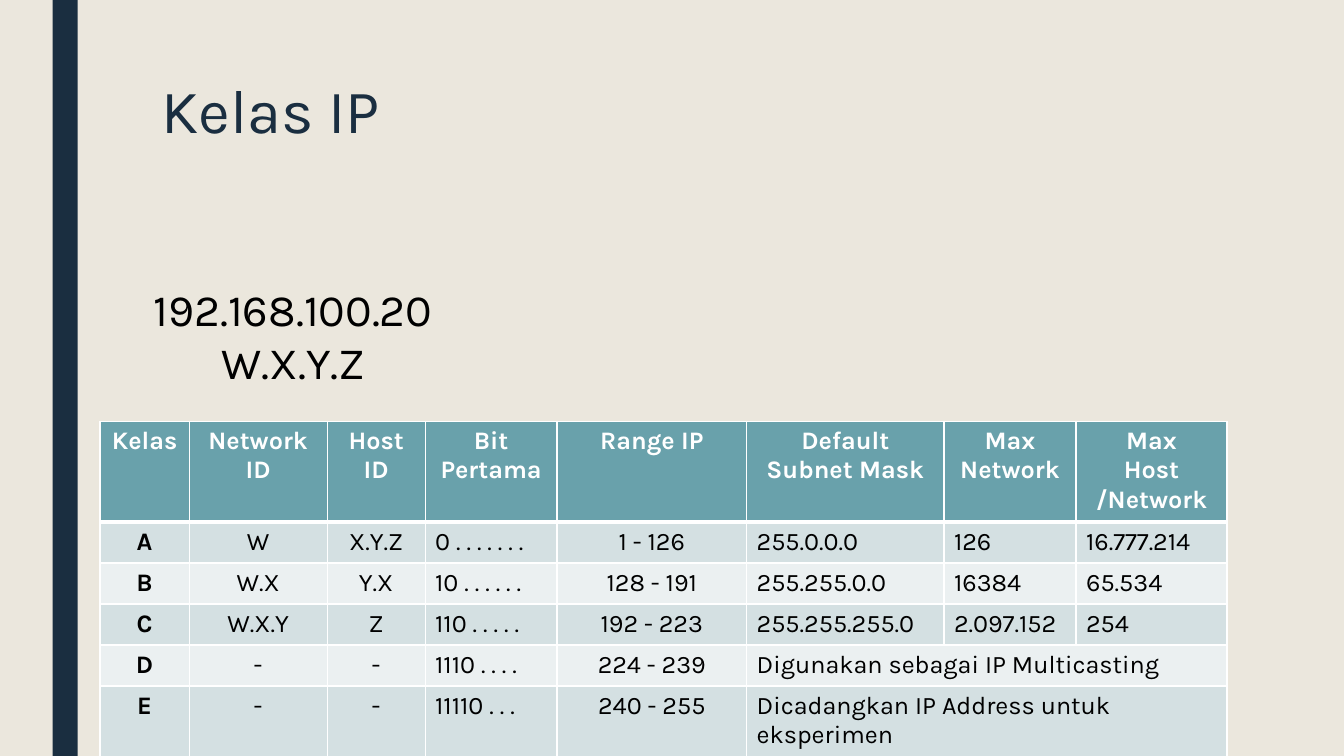
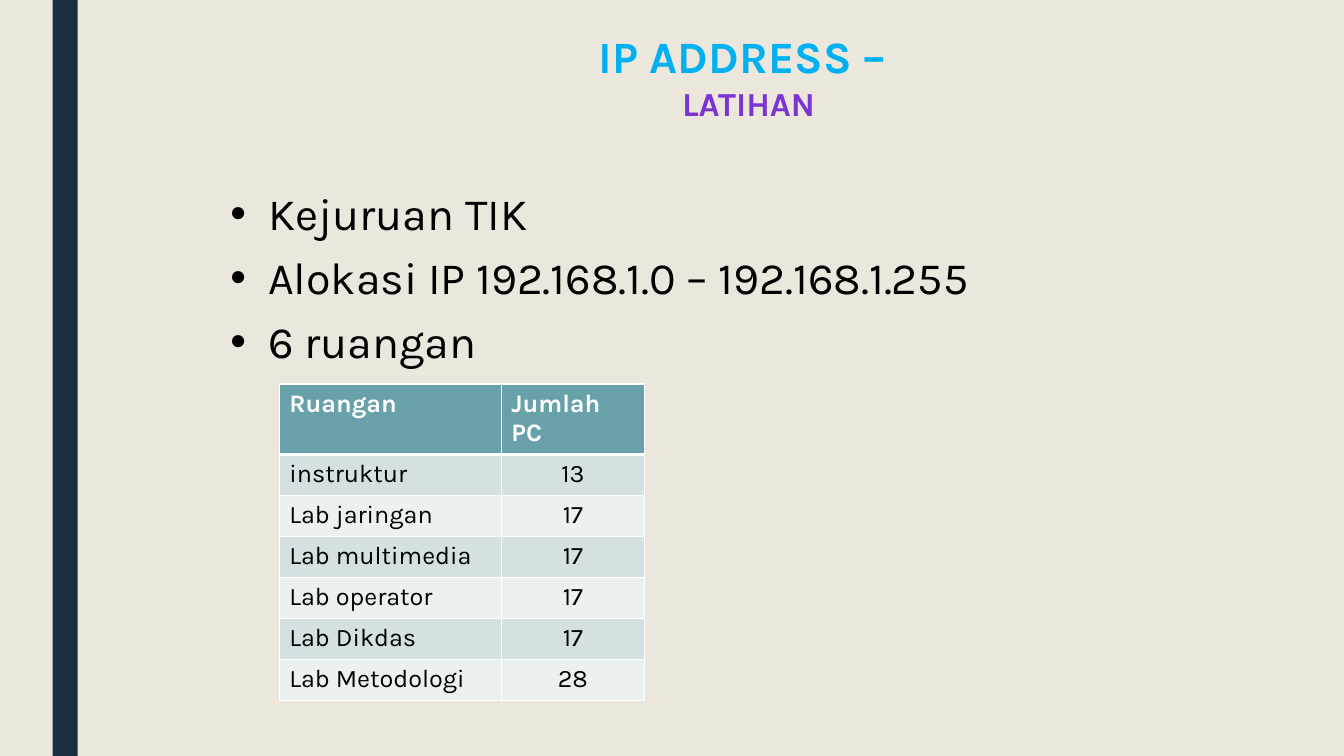
"""Build two slides on IP address classes and an allocation exercise."""
import pptx
import pptx.dml.color
import pptx.enum.shapes
import pptx.enum.text
import pptx.oxml
import pptx.oxml.ns
import pptx.util

Pt = pptx.util.Pt
ALIGN = pptx.enum.text.PP_ALIGN
NS = pptx.oxml.ns.nsdecls("a")
FONT = "Karla"
COLORS = {
    "paper": "EBE7DD", "navy": "1A2E40", "teal": "69A1AB", "band": "D4E0E2",
    "pale": "EBF0F1", "white": "FFFFFF", "black": "000000",
    "sky": "00B0F0", "violet": "7B34D2",
}
SLIDE_W, SLIDE_H = 960, 540
ROW_H = 29.3
CELL_SIZE = 18

CLASS_COLS = [63.6, 98.6, 70, 94.3, 135.4, 141, 94.3, 107.9]
CLASS_ROWS = [
    ["Kelas", "Network ID", "Host ID", "Bit Pertama", "Range IP",
     "Default Subnet Mask", "Max Network", "Max Host /Network"],
    ["A", "W", "X.Y.Z", "0 . . . . . . .", "1 - 126", "255.0.0.0", "126", "16.777.214"],
    ["B", "W.X", "Y.X", "10 . . . . . .", "128 - 191", "255.255.0.0", "16384", "65.534"],
    ["C", "W.X.Y", "Z", "110 . . . . .", "192 - 223", "255.255.255.0", "2.097.152", "254"],
    ["D", "-", "-", "1110 . . . .", "224 - 239", "Digunakan sebagai IP Multicasting"],
    ["E", "-", "-", "11110 . . .", "240 - 255", "Dicadangkan IP Address untuk eksperimen"],
]
ROOM_COLS = [158.6, 102.2]
ROOM_ROWS = [
    ["Ruangan", "Jumlah PC"], ["instruktur", "13"], ["Lab jaringan", "17"],
    ["Lab multimedia", "17"], ["Lab operator", "17"], ["Lab Dikdas", "17"],
    ["Lab Metodologi", "28"],
]
BULLETS = ["Kejuruan TIK", "Alokasi IP 192.168.1.0 – 192.168.1.255", "6 ruangan"]


def rgb(name):
    """Return the named colour."""
    return pptx.dml.color.RGBColor.from_string(COLORS[name])


def add_run(p, text, size, color="black", bold=False):
    """Append a formatted run to a paragraph."""
    r = p.add_run()
    r.text = text
    r.font.name, r.font.size, r.font.bold = FONT, Pt(size), bold
    r.font.color.rgb = rgb(color)


def add_text_frame(s, x, y, w, h):
    """Add a wrapping text box and return its frame."""
    tf = s.shapes.add_textbox(Pt(x), Pt(y), Pt(w), Pt(h)).text_frame
    tf.word_wrap = True
    return tf


def new_paragraph(tf, i):
    """Return the first paragraph of a frame or append another."""
    return tf.add_paragraph() if i else tf.paragraphs[0]


def add_base_slide(prs):
    """Add a blank slide with the vertical navy band."""
    s = prs.slides.add_slide(prs.slide_layouts[6])
    band = s.shapes.add_shape(pptx.enum.shapes.MSO_SHAPE.RECTANGLE,
                              Pt(37.5), 0, Pt(18), Pt(SLIDE_H))
    band.shadow.inherit = False
    band.fill.solid()
    band.fill.fore_color.rgb = rgb("navy")
    band.line.fill.background()
    return s


def set_borders(cell, top, bottom):
    """Draw white borders of the given widths around a cell."""
    tc_pr = cell._tc.get_or_add_tcPr()
    widths = {"lnL": 1, "lnR": 1, "lnT": top, "lnB": bottom}
    for i, (tag, width) in enumerate(widths.items()):
        tc_pr.insert(i, pptx.oxml.parse_xml(
            f'<a:{tag} {NS} w="{Pt(width)}"><a:solidFill>'
            f'<a:srgbClr val="{COLORS["white"]}"/></a:solidFill></a:{tag}>'))


def add_table(s, x, y, cols, rows, heights, centered, header_align, bold_first=False):
    """Add a banded table whose short rows merge their last cell to the edge."""
    table = s.shapes.add_table(len(rows), len(cols), Pt(x), Pt(y),
                               Pt(sum(cols)), Pt(sum(heights))).table
    table.horz_banding = False
    for column, width in zip(table.columns, cols):
        column.width = Pt(width)
    for i, (texts, height) in enumerate(zip(rows, heights)):
        table.rows[i].height = Pt(height)
        for j in range(len(cols)):
            cell = table.cell(i, j)
            cell.fill.solid()
            cell.fill.fore_color.rgb = rgb("teal" if i == 0 else "band" if i % 2 else "pale")
            set_borders(cell, 3 if i == 1 else 1, 3 if i == 0 else 1)
        for j, text in enumerate(texts):
            p = table.cell(i, j).text_frame.paragraphs[0]
            body_align = ALIGN.CENTER if j in centered else ALIGN.LEFT
            p.alignment = header_align if i == 0 else body_align
            add_run(p, text, CELL_SIZE, "black" if i else "white",
                    i == 0 or (bold_first and j == 0))
        if len(texts) < len(cols):
            table.cell(i, len(texts) - 1).merge(table.cell(i, len(cols) - 1))


def add_title(s, x, y, w, h):
    """Add the navy slide title."""
    p = add_text_frame(s, x, y, w, h).paragraphs[0]
    p.line_spacing = 0.89
    add_run(p, "Kelas IP", 44, "navy")


def add_address_pattern(s, x, y, w, h):
    """Add the sample address above its octet letters."""
    pitch = 38
    for i, text in enumerate(["192.168.100.20", "W.X.Y.Z"]):
        p = add_text_frame(s, x, y + i * pitch, w, h - pitch).paragraphs[0]
        p.alignment = ALIGN.CENTER
        add_run(p, text, 32)


def add_exercise_heading(s, x, y, w, h):
    """Add the two-line coloured heading."""
    tf = add_text_frame(s, x, y, w, h)
    lines = [("IP ADDRESS – ", 32, "sky"), ("LATIHAN", 24, "violet")]
    for i, (text, size, color) in enumerate(lines):
        p = new_paragraph(tf, i)
        p.alignment = ALIGN.CENTER
        add_run(p, text, size, color, True)


def add_bullets(s, x, y, w, h):
    """Add the bulleted facts of the exercise."""
    tf = add_text_frame(s, x, y, w, h)
    for i, text in enumerate(BULLETS):
        p = new_paragraph(tf, i)
        p_pr = p._p.get_or_add_pPr()
        p_pr.set("marL", str(Pt(27)))
        p_pr.set("indent", str(Pt(-27)))
        p_pr.append(pptx.oxml.parse_xml(f'<a:buFont {NS} typeface="Arial"/>'))
        p_pr.append(pptx.oxml.parse_xml(f'<a:buChar {NS} char="•"/>'))
        if i:
            p.space_before = Pt(7.5)
        add_run(p, text, 32)


def build_class_slide(prs):
    """Build the slide listing the IP classes."""
    s = add_base_slide(prs)
    add_title(s, 108, 54, 756, 117)
    heights = [70.7] + [ROW_H] * 4 + [49.5]
    add_table(s, 71.5, 300.8, CLASS_COLS, CLASS_ROWS, heights,
              {0, 1, 2, 4}, ALIGN.CENTER, bold_first=True)
    add_address_pattern(s, 87.5, 197.5, 244, 84)


def build_exercise_slide(prs):
    """Build the allocation exercise slide."""
    s = add_base_slide(prs)
    add_exercise_heading(s, 291, 17, 487.5, 104)
    add_bullets(s, 157.5, 129, 648, 356)
    heights = [50] + [ROW_H] * (len(ROOM_ROWS) - 1)
    add_table(s, 199.5, 274.3, ROOM_COLS, ROOM_ROWS, heights, {1}, ALIGN.LEFT)


def main():
    """Create and save the presentation."""
    prs = pptx.Presentation()
    prs.slide_width, prs.slide_height = Pt(SLIDE_W), Pt(SLIDE_H)
    fill = prs.slide_master.background.fill
    fill.solid()
    fill.fore_color.rgb = rgb("paper")
    build_class_slide(prs)
    build_exercise_slide(prs)
    prs.save("out.pptx")


if __name__ == "__main__":
    main()
